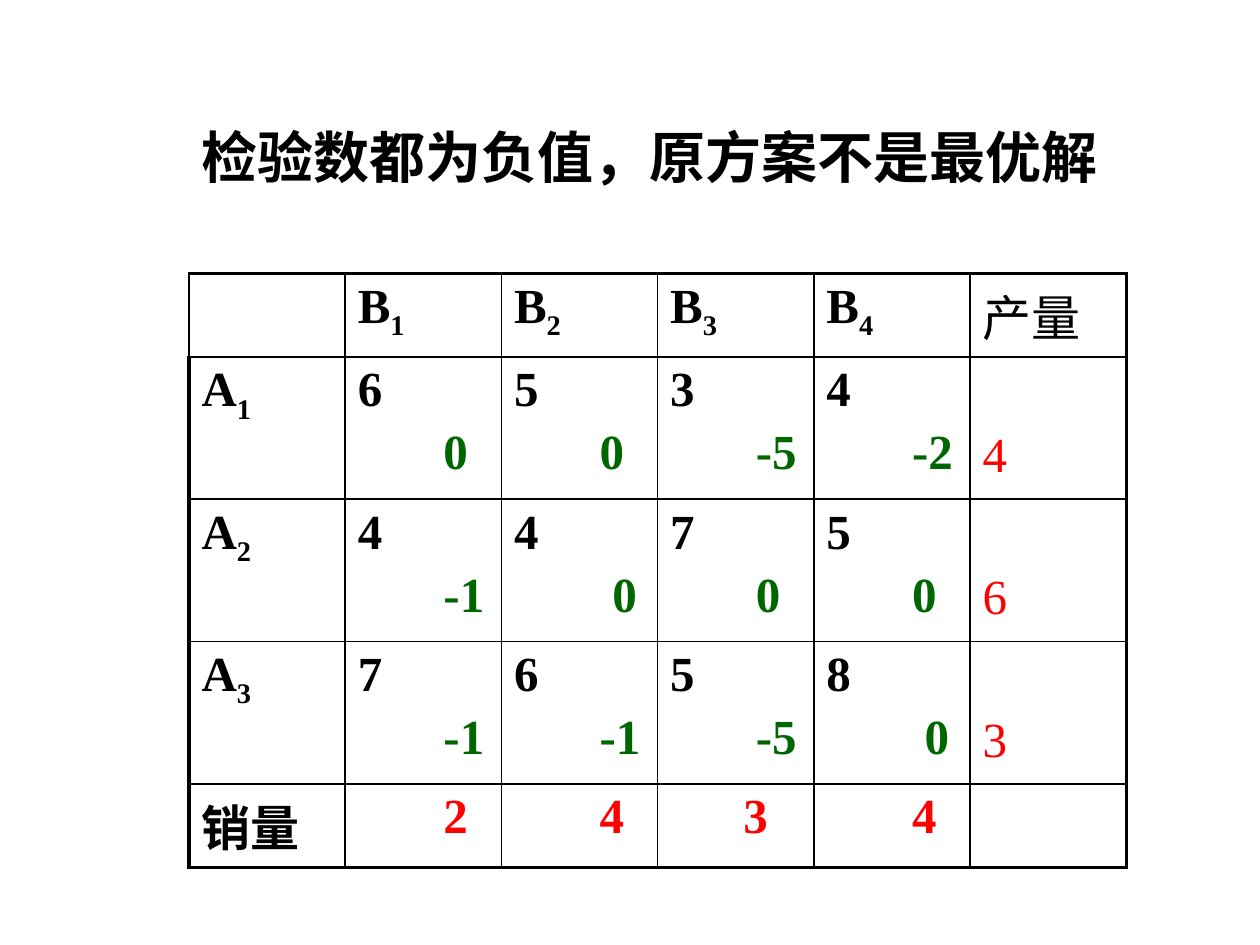
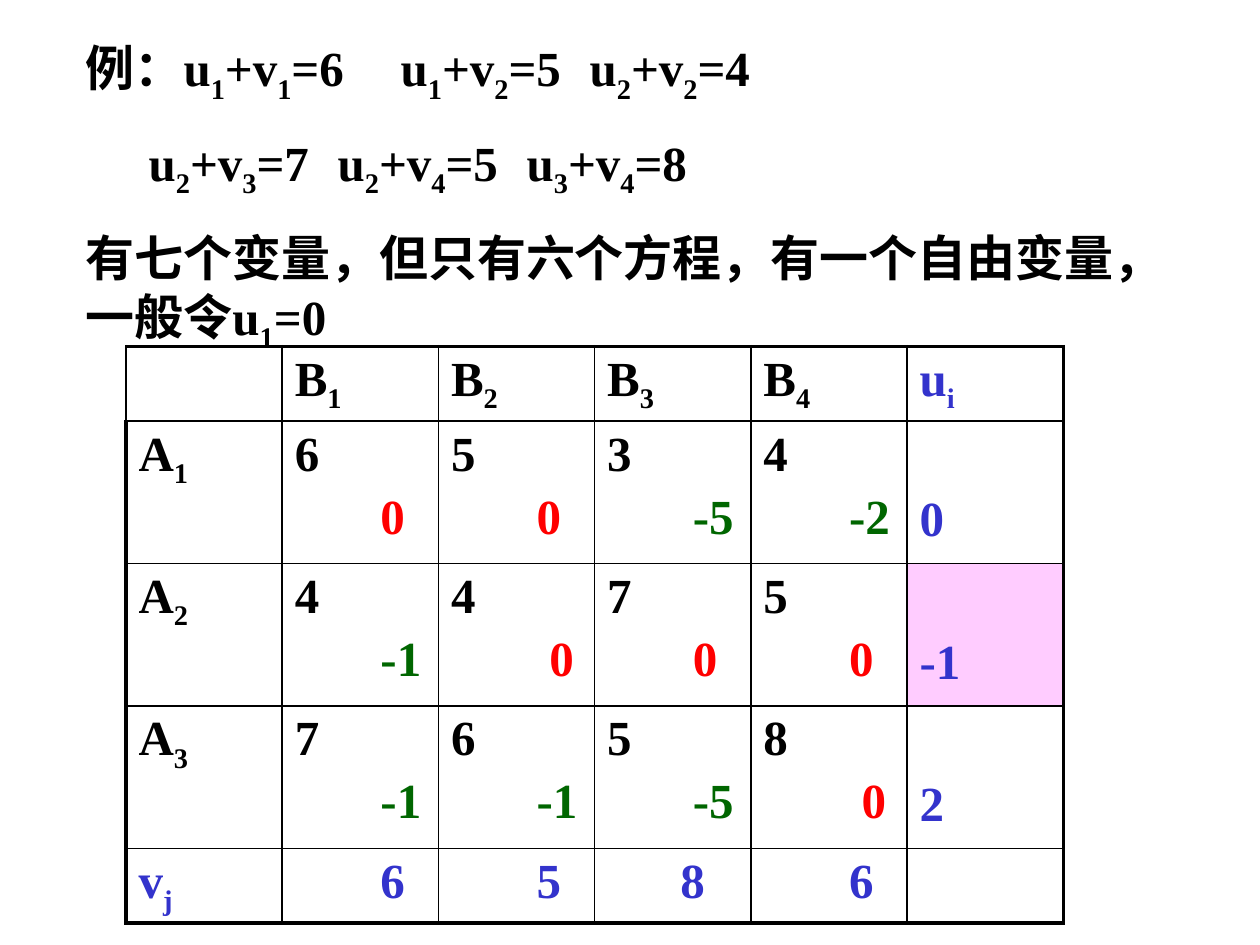
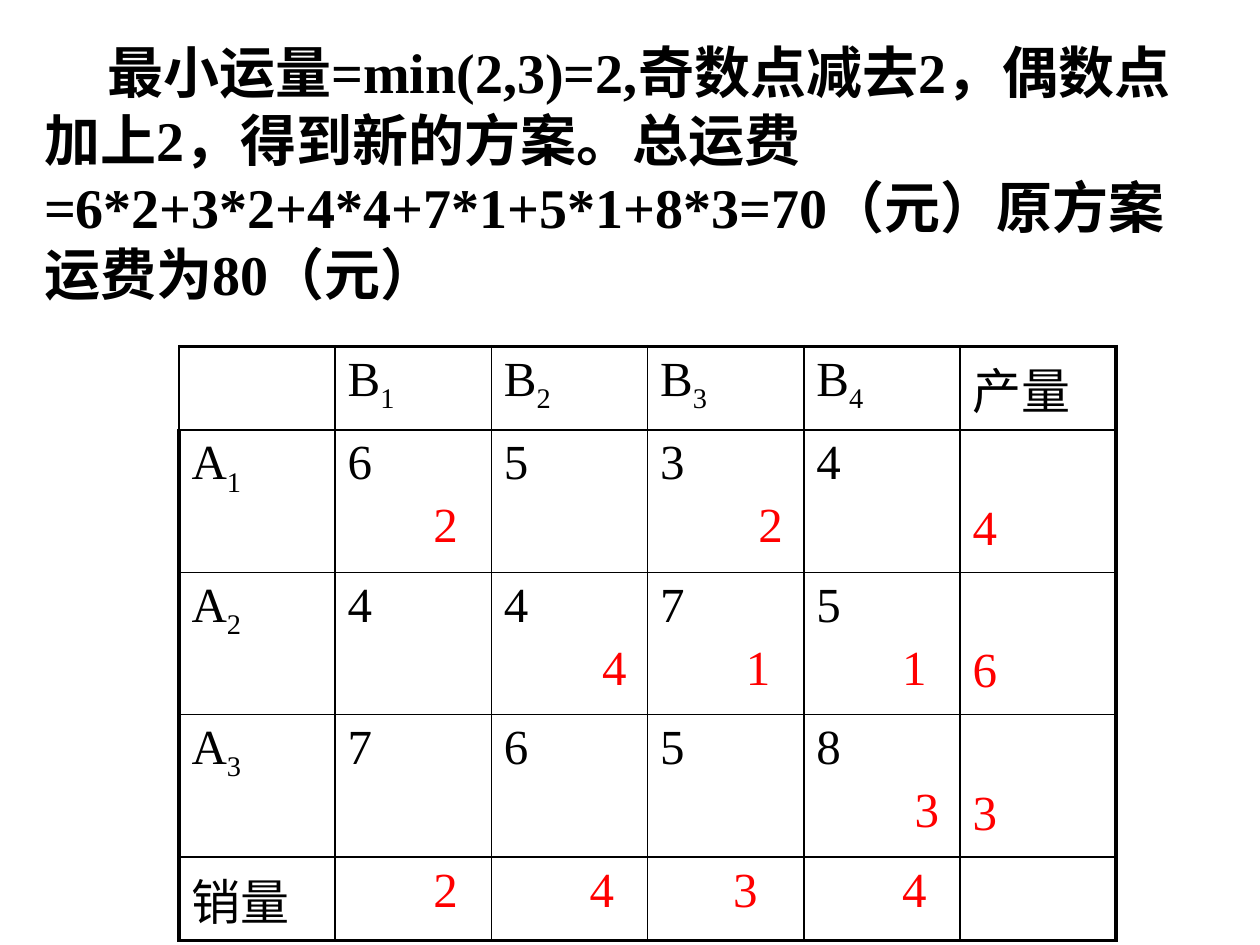
"""Build three slides on the potential method for a transport problem."""
from lxml import etree
from pptx import Presentation
from pptx.dml.color import RGBColor
from pptx.enum import text
from pptx.oxml import ns
from pptx.util import Inches, Pt

FONT = "Times New Roman"
COLOURS = {"ink": "000000", "green": "006600", "red": "FF0000",
           "blue": "3333CC", "pink": "FFCCFF"}
COSTS = [[6, 5, 3, 4], [4, 4, 7, 5], [7, 6, 5, 8]]
TEST_NUMBERS = [["0", "0", "-5", "-2"], ["-1", "0", "0", "0"], ["-1", "-1", "-5", "0"]]
SUPPLY, DEMAND = ["4", "6", "3"], ["2", "4", "3", "4"]

COLUMN, ROW, EDGE_ROW = 1.24, 1.13, 0.57
MARK_INDENT = 0.68
WIDE, NARROW = 0.78, 0.58
SHIFTS = {(2, 2): WIDE, (3, 4): WIDE, (4, 3): NARROW}
SECOND_LINE = 0.57
THIN, THICK = 1, 2.25

SLIDES = [
    {"role": "title", "box": (1.5, 0.92, 7.58, 0.63), "size": 32, "indent": 0,
     "lines": [("检验数都为负值，原方案不是最优解", [])],
     "table": {"at": (1.5, 2.17), "header_row": 0.58, "marks": TEST_NUMBERS,
               "zero": "green", "other": "green", "shifts": SHIFTS,
               "corner": ("产量", "销量"), "label": "ink", "edge": "red",
               "side": SUPPLY, "foot": DEMAND, "bold": True, "side_bold": False,
               "filled": []}},
    {"role": "body", "box": (0.58, 0.25, 8.75, 2.44), "size": 28, "indent": 0,
     "lines": [("例：u_1+v_1=6\tu_1+v_2=5\tu_2+v_2=4", [2.72, 4.49]),
               ("\tu_2+v_3=7\tu_2+v_4=5\tu_3+v_4=8", [0.1, 1.86, 3.61]),
               ("有七个变量，但只有六个方程，有一个自由变量，一般令u_1=0", [])],
     "table": {"at": (1, 2.75), "header_row": EDGE_ROW, "marks": TEST_NUMBERS,
               "zero": "red", "other": "green", "shifts": SHIFTS,
               "corner": ("u_i", "v_j"), "label": "blue", "edge": "blue",
               "side": ["0", "-1", "2"], "foot": ["6", "5", "8", "6"],
               "bold": True, "side_bold": True, "filled": [(2, 5)]}},
    {"role": "body", "box": (0.25, 0.25, 9.42, 2.23), "size": 32, "indent": 0.5,
     "lines": [("最小运量=min(2,3)=2,奇数点减去2，偶数点加上2，得到新的方案。"
                "总运费=6*2+3*2+4*4+7*1+5*1+8*3=70（元）原方案运费为80（元）", [])],
     "table": {"at": (1.42, 2.75), "header_row": EDGE_ROW,
               "marks": [["2", "", "2", ""], ["", "4", "1", "1"], ["", "", "", "3"]],
               "zero": "red", "other": "red", "shifts": {**SHIFTS, (1, 3): WIDE},
               "corner": ("产量", "销量"), "label": "ink", "edge": "red",
               "side": SUPPLY, "foot": DEMAND, "bold": False, "side_bold": False,
               "filled": []}},
]


def rgb(name):
    return RGBColor.from_string(COLOURS[name])


def write(p, content, size=28, colour="ink", bold=True):
    """Add runs to a paragraph; the character after an underscore is a subscript."""
    first, *others = content.split("_")
    parts = [(first, False)]
    for part in others:
        parts += [(part[0], True), (part[1:], False)]
    for piece, subscript in parts:
        if not piece:
            continue
        r = p.add_run()
        r.text = piece
        r.font.name, r.font.size, r.font.bold = FONT, Pt(size), bold
        r.font.color.rgb = rgb(colour)
        if subscript:
            r._r.get_or_add_rPr().set("baseline", "-25000")


def indent(p, left=0, first=0):
    pPr = p._p.get_or_add_pPr()
    pPr.set("marL", str(Inches(left)))
    pPr.set("indent", str(Inches(first)))
    return pPr


def add_text(s, data):
    """Fill the title or body placeholder and remove the other one."""
    title, body = s.placeholders
    sp, unused = (title, body) if data["role"] == "title" else (body, title)
    unused._element.getparent().remove(unused._element)
    sp.left, sp.top, sp.width, sp.height = map(Inches, data["box"])
    tf = sp.text_frame
    tf.word_wrap = True
    tf.auto_size = text.MSO_AUTO_SIZE.NONE
    tf.vertical_anchor = text.MSO_ANCHOR.TOP
    for i, (line, stops) in enumerate(data["lines"]):
        p = tf.add_paragraph() if i else tf.paragraphs[0]
        pPr = indent(p, first=data["indent"])
        etree.SubElement(pPr, ns.qn("a:buNone"))
        if stops:
            tabs = etree.SubElement(pPr, ns.qn("a:tabLst"))
            for stop in stops:
                etree.SubElement(tabs, ns.qn("a:tab"), pos=str(Inches(stop)), algn="l")
        p.alignment = text.PP_ALIGN.LEFT
        p.space_before = Pt(16 if i else 0)
        write(p, line, data["size"])


def set_borders(cell, row, column):
    """Draw thin inner and thick outer borders, with a thin left side at the corner."""
    widths = {"lnL": THICK if column == 0 and row else THIN,
              "lnR": THICK if column == 5 else THIN,
              "lnT": THICK if row == 0 else THIN,
              "lnB": THICK if row == 4 else THIN}
    tcPr = cell._tc.get_or_add_tcPr()
    for side, width in widths.items():
        ln = etree.SubElement(tcPr, ns.qn("a:" + side), w=str(Pt(width)))
        fill = etree.SubElement(ln, ns.qn("a:solidFill"))
        etree.SubElement(fill, ns.qn("a:srgbClr"), val=COLOURS["ink"])


def add_table(s, data):
    """Add the cost table with its marks and its outer row and column."""
    heights = [data["header_row"], ROW, ROW, ROW, EDGE_ROW]
    left, top = data["at"]
    table = s.shapes.add_table(5, 6, Inches(left), Inches(top),
                               Inches(6 * COLUMN), Inches(sum(heights))).table
    table.first_row = table.horz_banding = False
    for column in table.columns:
        column.width = Inches(COLUMN)
    for row, height in zip(table.rows, heights):
        row.height = Inches(height)

    for row in range(5):
        for column in range(6):
            cell = table.cell(row, column)
            set_borders(cell, row, column)
            if (row, column) in data["filled"]:
                cell.fill.solid()
                cell.fill.fore_color.rgb = rgb("pink")
            else:
                cell.fill.background()

    def put(row, column, content, **style):
        write(table.cell(row, column).text_frame.paragraphs[0], content, **style)

    bold, side_bold = data["bold"], data["side_bold"]
    side_label, foot_label = data["corner"]
    put(0, 5, side_label, colour=data["label"], bold=side_bold)
    put(4, 0, foot_label, colour=data["label"], bold=bold)
    for column, value in enumerate(data["foot"], 1):
        put(0, column, f"B_{column}", bold=bold)
        put(4, column, value, colour=data["edge"], bold=bold)
        indent(table.cell(4, column).text_frame.paragraphs[0],
               data["shifts"].get((4, column), MARK_INDENT))
    for row, (costs, marks, side) in enumerate(zip(COSTS, data["marks"], data["side"]), 1):
        put(row, 0, f"A_{row}", bold=bold)
        put(row, 5, side, colour=data["edge"], bold=side_bold)
        table.cell(row, 5).margin_top = Inches(SECOND_LINE)
        for column, (cost, mark) in enumerate(zip(costs, marks), 1):
            put(row, column, str(cost), bold=bold)
            if mark:
                p = table.cell(row, column).text_frame.add_paragraph()
                indent(p, data["shifts"].get((row, column), MARK_INDENT))
                p.space_before = Pt(5)
                write(p, mark, colour=data["zero" if mark == "0" else "other"], bold=bold)


def main():
    prs = Presentation()
    prs.slide_width, prs.slide_height = Inches(10), Inches(7.5)
    for data in SLIDES:
        s = prs.slides.add_slide(prs.slide_layouts[1])
        add_text(s, data)
        add_table(s, data["table"])
    prs.save("out.pptx")


if __name__ == "__main__":
    main()
